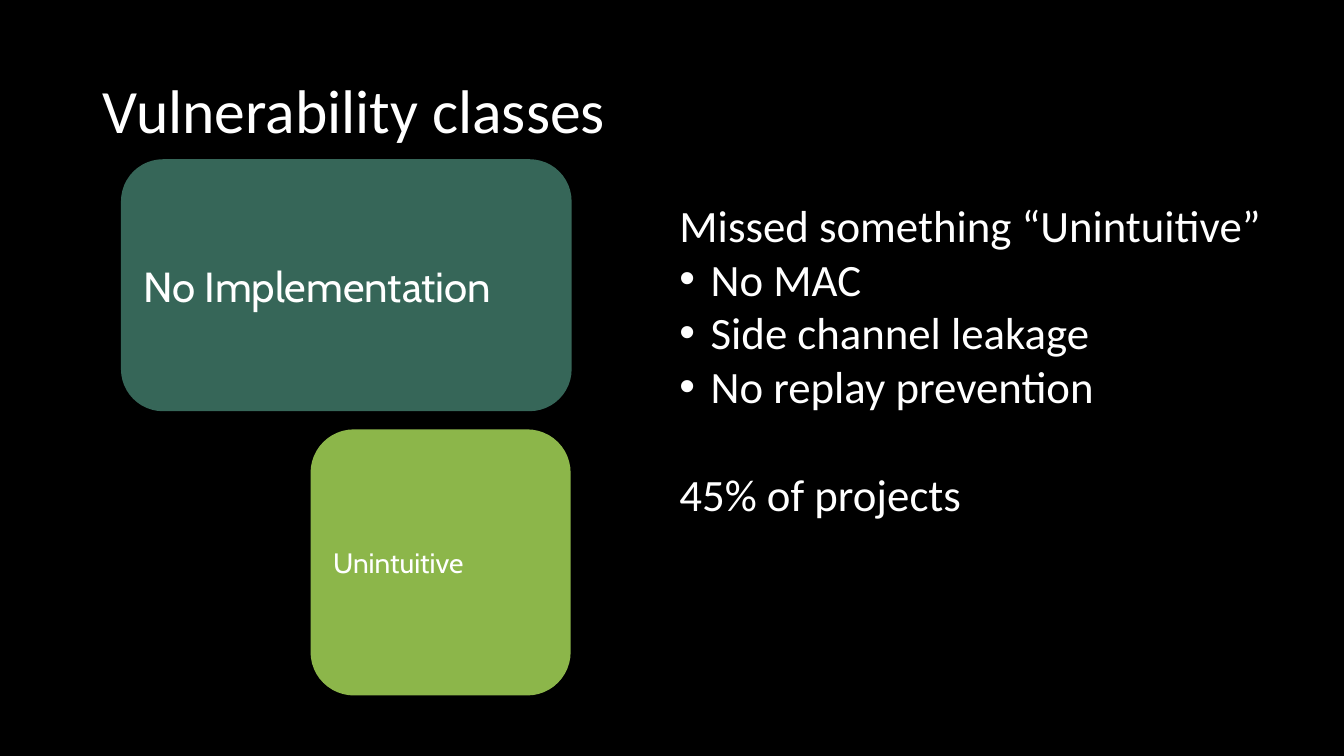
import pptx
import pptx.dml.color
import pptx.enum.shapes
import pptx.enum.text
import pptx.oxml
import pptx.util
from lxml import etree

Inches = pptx.util.Inches
Pt = pptx.util.Pt
MIDDLE = pptx.enum.text.MSO_ANCHOR.MIDDLE
TOP = pptx.enum.text.MSO_ANCHOR.TOP


def color(code):
    return pptx.dml.color.RGBColor.from_string(code)


class Deck:
    ink = "FFFFFF"
    ground = "000000"
    body = "Calibri"
    label = "Cabin"

    def __init__(self):
        self.show = pptx.Presentation()
        self.show.slide_width = Inches(13.33)
        self.show.slide_height = Inches(7.5)
        self.slide = self.show.slides.add_slide(self.show.slide_layouts[6])
        fill = self.slide.background.fill
        fill.solid()
        fill.fore_color.rgb = color(self.ground)

    def style(self, para, size, font):
        para.alignment = pptx.enum.text.PP_ALIGN.LEFT
        for run in para.runs:
            run.font.size = Pt(size)
            run.font.name = font
            run.font.color.rgb = color(self.ink)

    def text(self, box, lines, size, anchor=TOP):
        frame = self.slide.shapes.add_textbox(*map(Inches, box)).text_frame
        frame.word_wrap = True
        frame.vertical_anchor = anchor
        frame.text = "\n".join(lines)
        for para in frame.paragraphs:
            self.style(para, size, self.body)
        return frame.paragraphs

    def bullet(self, para):
        props = para._p.get_or_add_pPr()
        props.set("marL", str(Inches(0.31)))
        props.set("indent", str(Inches(-0.31)))
        tag = pptx.oxml.ns.qn
        etree.SubElement(props, tag("a:buFont")).set("typeface", "Arial")
        etree.SubElement(props, tag("a:buChar")).set("char", "•")

    def card(self, box, words, size, fill):
        kind = pptx.enum.shapes.MSO_SHAPE.ROUNDED_RECTANGLE
        shape = self.slide.shapes.add_shape(kind, *map(Inches, box))
        shape.shadow.inherit = False
        shape.adjustments[0] = 0.167
        shape.fill.solid()
        shape.fill.fore_color.rgb = color(fill)
        shape.line.fill.background()
        frame = shape.text_frame
        frame.word_wrap = True
        frame.vertical_anchor = MIDDLE
        frame.text = words
        self.style(frame.paragraphs[0], size, self.label)


def main():
    deck = Deck()

    # Title
    title = deck.text((0.92, 0.4, 11.5, 1.45), ["Vulnerability classes"], 44, MIDDLE)
    title[0].line_spacing = 0.9

    # Class cards
    deck.card((1.2, 1.58, 4.47, 2.5), "No Implementation", 30, "366658")
    deck.card((3.08, 4.26, 2.58, 2.64), "Unintuitive", 20, "8CB64A")

    # Findings
    lines = ["Missed something “Unintuitive”", "No MAC", "Side channel leakage",
             "No replay prevention", "45% of projects"]
    notes = deck.text((6.64, 1.91, 6.41, 3.33), lines, 32)
    for para in notes[1:-1]:
        deck.bullet(para)
    notes[-1].space_before = Pt(39)

    deck.show.save("out.pptx")


if __name__ == "__main__":
    main()
